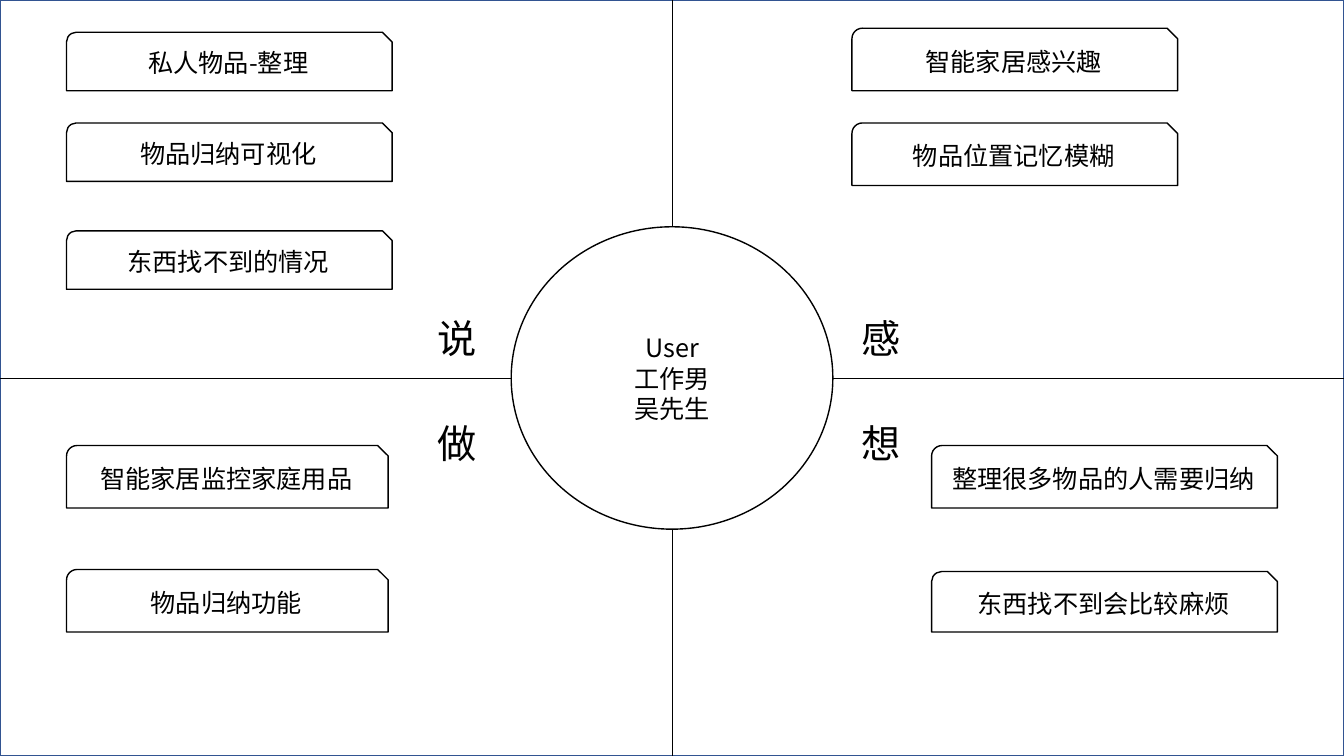
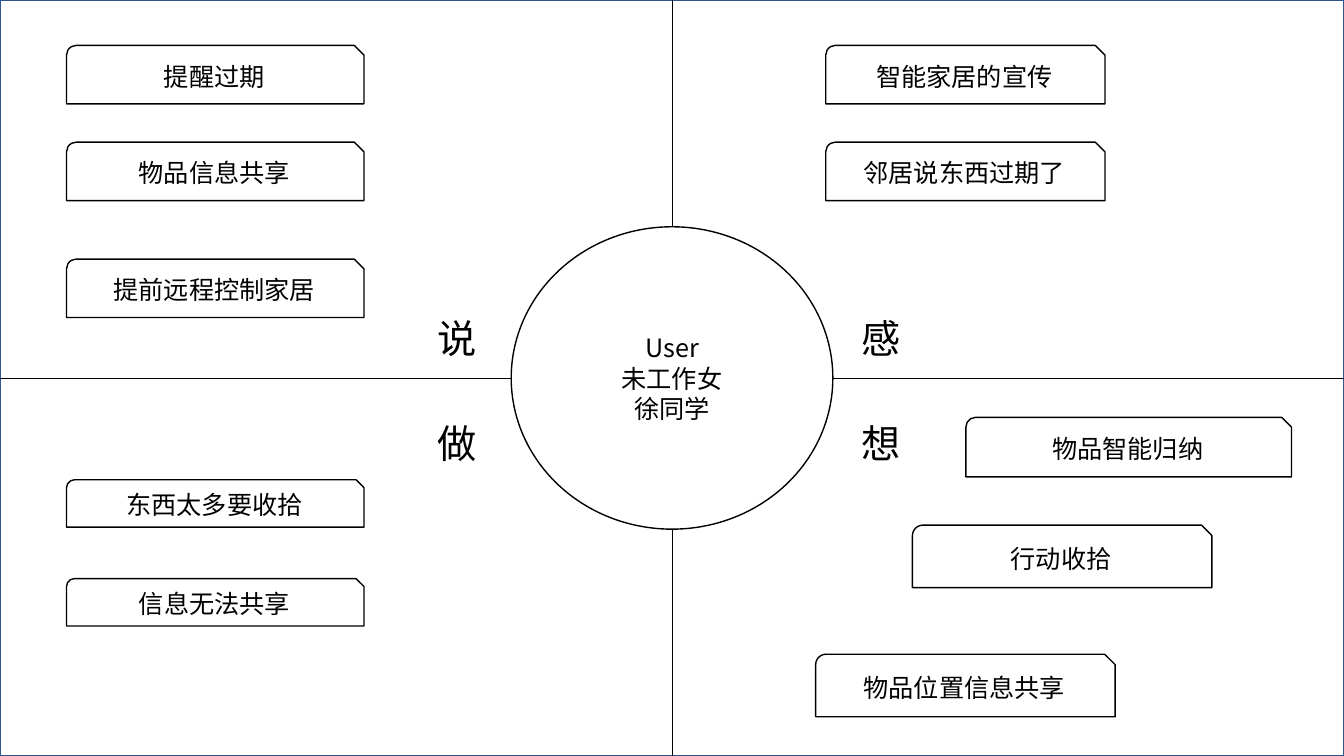
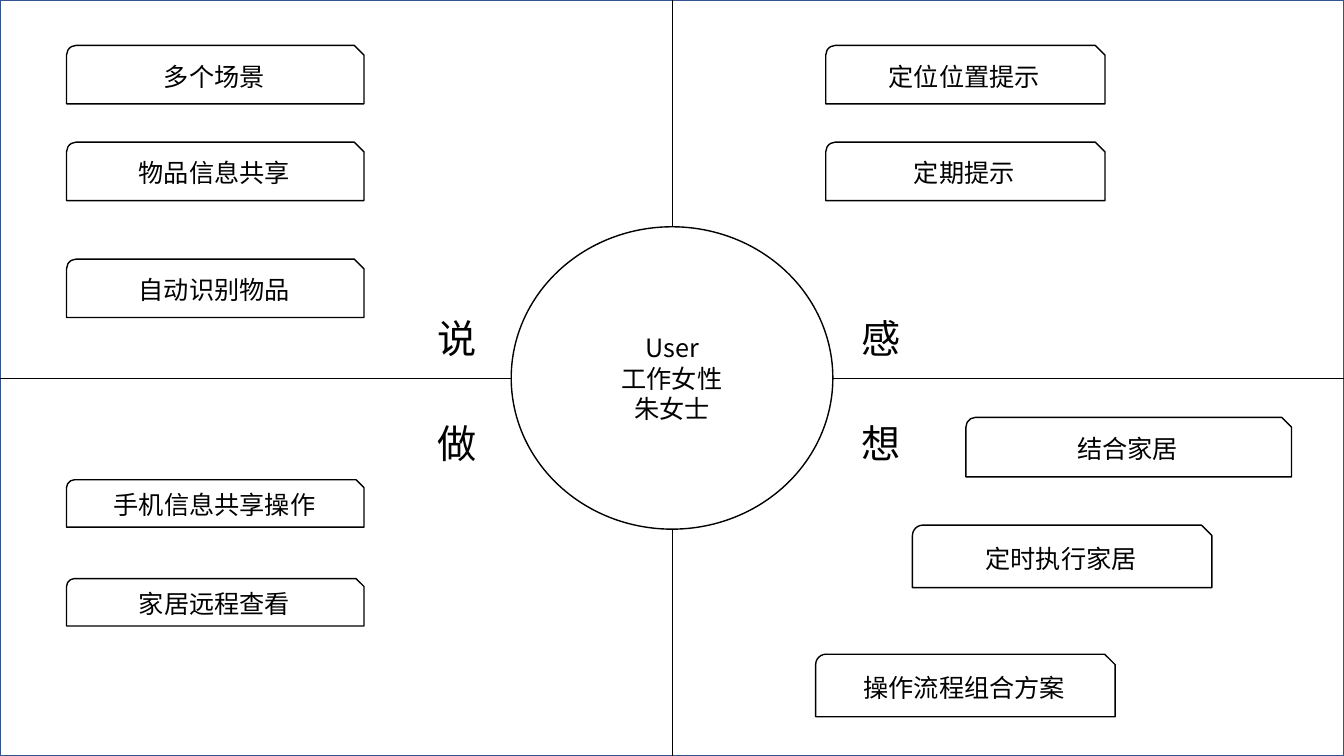
import lxml.etree
import pptx
import pptx.dml.color
import pptx.enum.shapes
import pptx.enum.text
import pptx.oxml.ns
import pptx.util

SCALE = 9144  # EMU in one px, 100 px to the inch
PAGE_WIDTH, PAGE_HEIGHT = 1333, 750

WHITE = pptx.dml.color.RGBColor(0xFF, 0xFF, 0xFF)
BLACK = pptx.dml.color.RGBColor(0x00, 0x00, 0x00)
BLUE = pptx.dml.color.RGBColor(0x32, 0x54, 0x91)

FONT = "Noto Sans CJK SC"
CARD_TEXT = {"size": pptx.util.Pt(18), "name": FONT}
LABEL_TEXT = {"size": pptx.util.Pt(28), "name": FONT}
LABEL_FRAME = {"word_wrap": False,
               "auto_size": pptx.enum.text.MSO_AUTO_SIZE.SHAPE_TO_FIT_TEXT}

SHAPES = pptx.enum.shapes.MSO_SHAPE
CENTER = pptx.enum.text.PP_ALIGN.CENTER
MIDDLE = pptx.enum.text.MSO_ANCHOR.MIDDLE

# Quadrant labels: left, top, text
LABELS = [(424, 307, "说"), (424, 411, "做"), (845, 307, "感"), (845, 411, "想")]


def column(left, width, height, *tops):
    """Boxes of one size, one below the other."""
    return [(left, top, width, height) for top in tops]


# Card places, in the order say, do, feel, think
PAIRED_CARDS = (column(66, 323, 58, 32, 122, 229)
                + column(66, 319, 62, 442, 565)
                + column(845, 323, 62, 28, 122)
                + column(924, 343, 62, 442)
                + column(924, 343, 60, 567))
STEPPED_CARDS = (column(66, 295, 58, 45, 141, 257)
                 + column(66, 295, 47, 476, 574)
                 + column(819, 277, 58, 45, 141)
                 + column(958, 323, 59, 414)
                 + column(905, 297, 62, 521)
                 + column(809, 297, 62, 649))

# User lines, card places, card texts
MAPS = [
    (["User", "工作男", "吴先生"], PAIRED_CARDS,
     ["私人物品-整理", "物品归纳可视化", "东西找不到的情况",
      "智能家居监控家庭用品", "物品归纳功能",
      "智能家居感兴趣", "物品位置记忆模糊",
      "整理很多物品的人需要归纳", "东西找不到会比较麻烦"]),
    (["User", "未工作女", "徐同学"], STEPPED_CARDS,
     ["提醒过期", "物品信息共享", "提前远程控制家居",
      "东西太多要收拾", "信息无法共享",
      "智能家居的宣传", "邻居说东西过期了",
      "物品智能归纳", "行动收拾", "物品位置信息共享"]),
    (["User", "工作女性", "朱女士"], STEPPED_CARDS,
     ["多个场景", "物品信息共享", "自动识别物品",
      "手机信息共享操作", "家居远程查看",
      "定位位置提示", "定期提示",
      "结合家居", "定时执行家居", "操作流程组合方案"]),
]


def px(*lengths):
    return [pptx.util.Emu(length * SCALE) for length in lengths]


def set_all(target, values):
    for name, value in values.items():
        setattr(target, name, value)


def write(frame, lines, text_format, align=None):
    """Fill a text frame with one paragraph per line."""
    for number, line in enumerate(lines):
        para = frame.add_paragraph() if number else frame.paragraphs[0]
        para.alignment = align
        span = para.add_run()
        span.text = line
        set_all(span.font, text_format)
        span.font.color.rgb = BLACK
        east_asian = lxml.etree.SubElement(
            span.font._element, pptx.oxml.ns.qn("a:ea"))
        east_asian.set("typeface", FONT)


def add_box(page, preset, place, lines=(), line_color=BLACK):
    """White outlined shape with centred text."""
    box = page.shapes.add_shape(preset, *px(*place))
    box.shadow.inherit = False
    box.fill.solid()
    box.fill.fore_color.rgb = WHITE
    box.line.color.rgb = line_color
    box.line.width = pptx.util.Pt(1)
    box.text_frame.vertical_anchor = MIDDLE
    write(box.text_frame, lines, CARD_TEXT, CENTER)
    return box


def add_label(page, left, top, text):
    box = page.shapes.add_textbox(*px(left, top, 59, 57))
    set_all(box.text_frame, LABEL_FRAME)
    write(box.text_frame, [text], LABEL_TEXT)


def side_middles(box):
    """Middles of the top, left, bottom and right sides."""
    middle_x = box.left + box.width // 2
    middle_y = box.top + box.height // 2
    return [(middle_x, box.top), (box.left, middle_y),
            (middle_x, box.top + box.height), (box.left + box.width, middle_y)]


def add_dividers(page, frame, circle):
    """Lines from each side of the frame to the circle."""
    ends = zip(side_middles(frame), side_middles(circle))
    for side, (start, end) in enumerate(ends):
        divider = page.shapes.add_connector(
            pptx.enum.shapes.MSO_CONNECTOR.STRAIGHT, *start, *end)
        divider.begin_connect(frame, side)
        divider.line.color.rgb = BLACK
        divider.line.width = pptx.util.Pt(0.5)
        lxml.etree.SubElement(
            divider._element.spPr, pptx.oxml.ns.qn("a:effectLst"))


def add_empathy_map(deck, user_lines, places, texts):
    page = deck.slides.add_slide(deck.slide_layouts[6])
    # Frame, user circle and quadrants
    frame = add_box(page, SHAPES.RECTANGLE, (0, 0, PAGE_WIDTH, PAGE_HEIGHT),
                    line_color=BLUE)
    circle = add_box(page, SHAPES.OVAL, (507, 225, 319, 300), user_lines)
    add_dividers(page, frame, circle)
    for label in LABELS:
        add_label(page, *label)
    # Cards
    for place, text in zip(places, texts):
        add_box(page, SHAPES.SNIP_ROUND_RECTANGLE, place, [text])


def main():
    deck = pptx.Presentation()
    deck.slide_width, deck.slide_height = px(PAGE_WIDTH, PAGE_HEIGHT)
    for user_lines, places, texts in MAPS:
        add_empathy_map(deck, user_lines, places, texts)
    deck.save("out.pptx")


if __name__ == "__main__":
    main()
